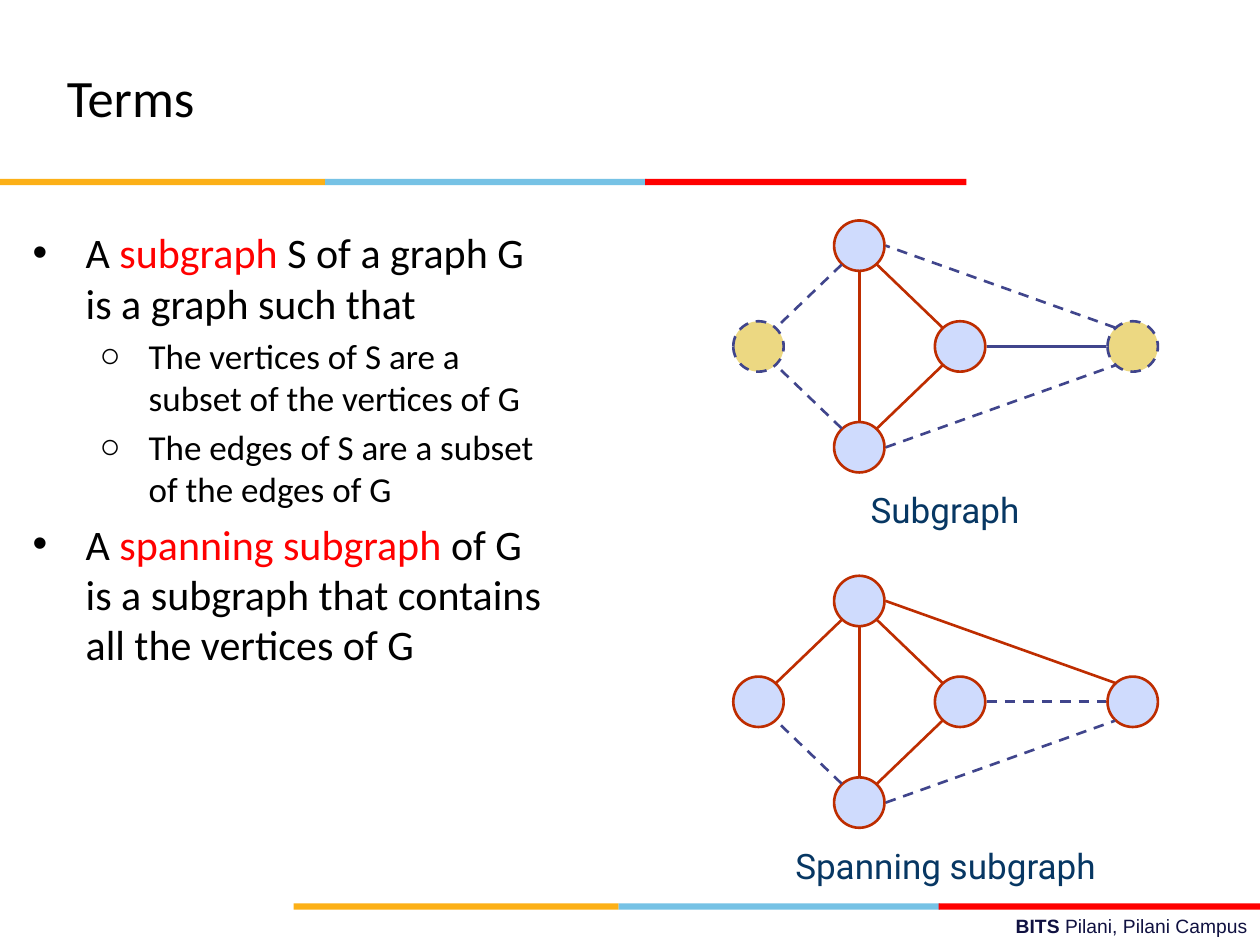
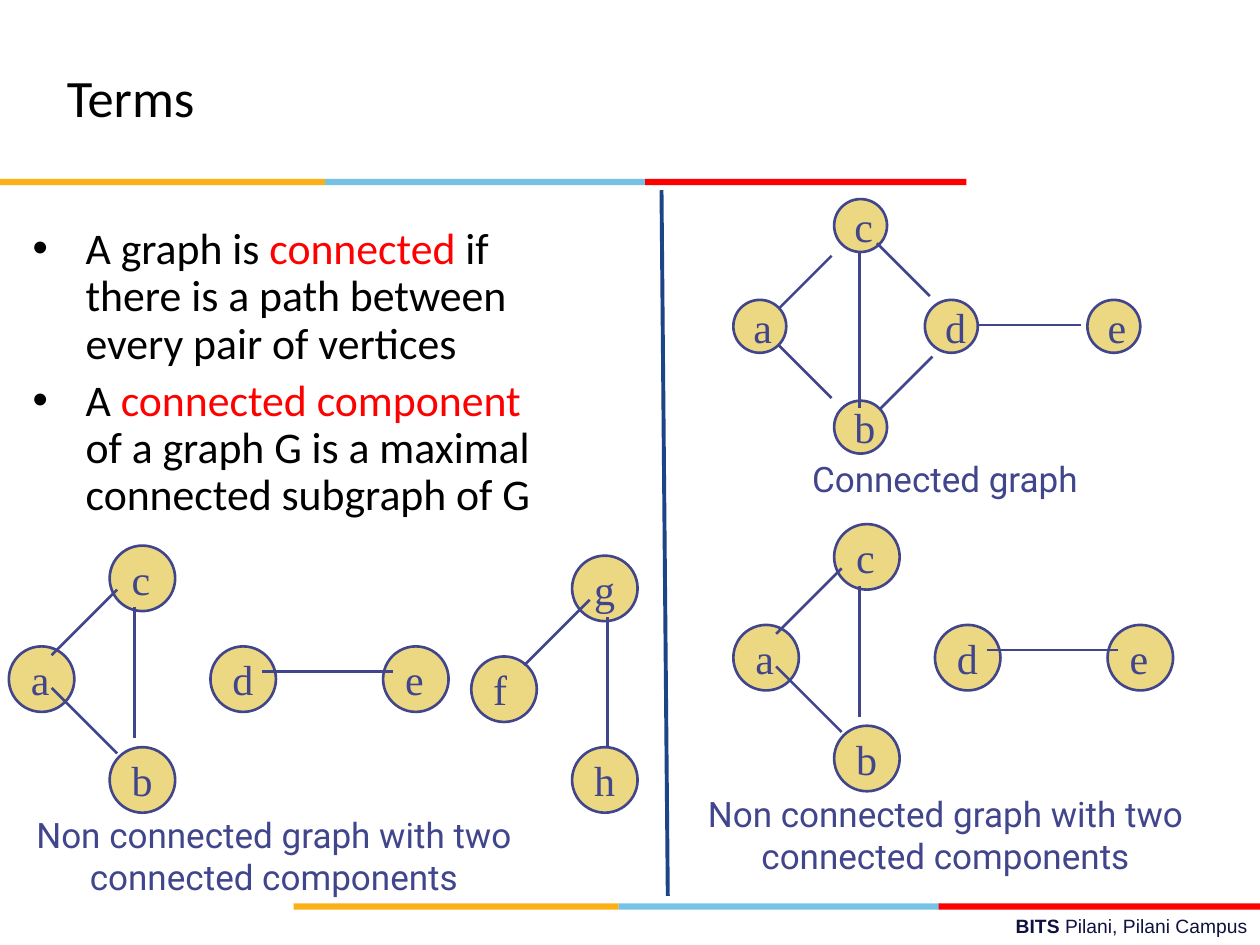
from lxml.etree import SubElement
from pptx import Presentation
from pptx.dml.color import RGBColor
from pptx.enum.dml import MSO_LINE
from pptx.enum.shapes import MSO_CONNECTOR, MSO_SHAPE
from pptx.enum.text import MSO_ANCHOR, MSO_AUTO_SIZE, PP_ALIGN
from pptx.oxml.ns import qn
from pptx.util import Emu, Pt

PX = 9144  # 100 px to the inch

COLOURS = {
    "ink": "000000",
    "key": "FF0000",
    "amber": "FCB017",
    "sky": "76C2E5",
    "red": "FF0000",
    "footer": "101141",
    "caption": "073763",
    "indigo": "40458C",
    "sand": "ECD882",
    "lilac": "CFDBFD",
    "rust": "BE2D00",
    "divider": "1C4587",
}

FONTS = {
    "title": {"name": "Calibri", "size": Pt(30)},
    "footer": {"name": "Arial", "size": Pt(11)},
    "caption": {"name": "Roboto", "size": Pt(20)},
    "vertex": {"name": "Times New Roman", "size": Pt(24)},
}

# Stroke colour and dash of each kind of line
STROKES = {
    "chosen": ("rust", None),
    "plain": ("indigo", None),
    "left out": ("indigo", MSO_LINE.DASH),
}
VERTEX_FILLS = {"chosen": "lilac", "plain": "sand", "left out": "sand"}

# Vertex corners and edge ends are measured from the corner of their graph.
FIVE_VERTICES = {"d": (160, 80), "a": (0, 80), "c": (80, 0), "b": (80, 160), "e": (297, 80)}
FULL_EDGES = {
    "ca": (86, 35, 34, 85),
    "ba": (86, 165, 34, 115),
    "bd": (114, 165, 166, 115),
    "cd": (114, 35, 166, 85),
    "cb": (100, 41, 100, 159),
    "de": (201, 100, 296, 100),
    "be": (121, 180, 303, 115),
    "ec": (303, 85, 121, 20),
}
CONNECTED_VERTICES = FIVE_VERTICES | {"d": (152, 80), "e": (281, 80)}
CONNECTED_EDGES = {
    "ca": (78, 45, 36, 87),
    "ba": (78, 158, 36, 116),
    "bd": (116, 167, 158, 125),
    "cd": (114, 35, 156, 77),
    "cb": (100, 41, 100, 166),
    "de": (193, 100, 276, 100),
}
TWO_PART_EDGES = {
    "ca": (86, 35, 34, 87),
    "ba": (86, 165, 34, 113),
    "cb": (100, 49, 100, 153),
    "de": (201, 100, 305, 100),
}
THIRD_PART_VERTICES = {"f": (0, 80), "g": (80, 0), "h": (80, 152)}
THIRD_PART_EDGES = {"gf": (94, 35, 42, 87), "gh": (108, 49, 108, 153)}

SUBGRAPH_BULLETS = [
    (0, 0, ["A ", "*subgraph", " S of a graph G is a graph such that"]),
    (1, 4, ["The vertices of S are a subset of the vertices of G"]),
    (1, 4, ["The edges of S are a subset of the edges of G"]),
    (0, 4.8, ["A ", "*spanning subgraph",
              " of G is a subgraph that contains all the vertices of G"]),
]
CONNECTED_BULLETS = [
    (0, 0, ["A graph is ", "*connected",
            " if there is a path between every pair of vertices"]),
    (0, 5.6, ["A ", "*connected component",
              " of a graph G is a maximal connected subgraph of G"]),
]
TWO_PARTS = "Non connected graph with two connected components"


def px(*lengths):
    return [Emu(length * PX) for length in lengths]


def rgb(name):
    return RGBColor.from_string(COLOURS[name])


def apply(target, formats):
    for name, value in formats.items():
        setattr(target, name, value)


def place(shape, *area):
    apply(shape, dict(zip(("left", "top", "width", "height"), px(*area))))


def add_span(para, text, colour, **formats):
    span = para.add_run()
    span.text = text
    apply(span.font, formats)
    span.font.color.rgb = rgb(colour)


def add_label(page, area, spans, font, colour, align):
    """Add a one-paragraph text box; spans are (text, bold) pairs."""
    box = page.shapes.add_textbox(*px(*area))
    box.text_frame.word_wrap = True
    para = box.text_frame.paragraphs[0]
    para.alignment = align
    for text, bold in spans:
        add_span(para, text, colour, bold=bold, **FONTS[font])


def add_caption(page, area, text, colour):
    add_label(page, area, [(text, False)], "caption", colour, PP_ALIGN.CENTER)


def add_band(page, left, top):
    for offset, width, colour in ((0, 258, "amber"), (258, 255, "sky"), (512, 255, "red")):
        stripe = page.shapes.add_shape(
            MSO_SHAPE.RECTANGLE, *px(left + offset, top, width, 5))
        stripe.shadow.inherit = False
        stripe.fill.solid()
        stripe.fill.fore_color.rgb = rgb(colour)
        stripe.line.fill.background()


def add_page(deck, title):
    """Add a page with its title, both bands and the footer."""
    page = deck.slides.add_slide(deck.slide_layouts[1])
    add_band(page, 0, 142)
    add_band(page, 233, 717)
    add_label(page, (358, 721, 642, 29),
              [("BITS ", True), ("Pilani, Pilani Campus", False)],
              "footer", "footer", PP_ALIGN.RIGHT)
    heading = page.shapes.title
    place(heading, 43, 30, 669, 93)
    apply(heading.text_frame, {"vertical_anchor": MSO_ANCHOR.MIDDLE,
                               "auto_size": MSO_AUTO_SIZE.NONE})
    para = heading.text_frame.paragraphs[0]
    para.alignment = PP_ALIGN.LEFT
    add_span(para, title, "ink", **FONTS["title"])
    return page


def set_bullet(para, mark, margin, indent):
    properties = para._p.get_or_add_pPr()
    properties.set("marL", str(margin * PX))
    properties.set("indent", str(indent * PX))
    colour = SubElement(properties, qn("a:buClr"))
    SubElement(colour, qn("a:srgbClr"), val=COLOURS["ink"])
    SubElement(properties, qn("a:buChar"), char=mark)


def fill_body(page, bullets, sizes, line_spacing):
    """Fill the body; a span that starts with * is a key term."""
    body = page.placeholders[1]
    place(body, 8, 175, 440, 495)
    frame = body.text_frame
    frame.auto_size = MSO_AUTO_SIZE.NONE
    for index, (level, space, spans) in enumerate(bullets):
        para = frame.add_paragraph() if index else frame.paragraphs[0]
        set_bullet(para, *(("•", 50, -42), ("○", 100, -39))[level])
        apply(para, {"level": level, "space_before": Pt(space),
                     "line_spacing": line_spacing})
        for text in spans:
            add_span(para, text.lstrip("*"), "key" if text.startswith("*") else "ink",
                     name="Calibri", size=Pt(sizes[level]))


def set_stroke(line, colour, width=1.5, dash=None):
    line.color.rgb = rgb(colour)
    line.width = Pt(width)
    if dash:
        line.dash_style = dash


def add_line(page, ends, colour, width=1.5, dash=None):
    line = page.shapes.add_connector(MSO_CONNECTOR.STRAIGHT, *px(*ends))
    SubElement(line._element.spPr, qn("a:effectLst"))
    set_stroke(line.line, colour, width, dash)


def add_vertex(page, left, top, size, kind, letter):
    vertex = page.shapes.add_shape(MSO_SHAPE.OVAL, *px(left, top, size, size))
    vertex.shadow.inherit = False
    vertex.fill.solid()
    vertex.fill.fore_color.rgb = rgb(VERTEX_FILLS[kind])
    colour, dash = STROKES[kind]
    set_stroke(vertex.line, colour, dash=dash)
    if letter:
        frame = vertex.text_frame
        apply(frame, {"word_wrap": True, "vertical_anchor": MSO_ANCHOR.MIDDLE})
        frame.paragraphs[0].alignment = PP_ALIGN.LEFT
        add_span(frame.paragraphs[0], letter, colour, **FONTS["vertex"])


def add_graph(page, corner, size, vertices, edges, kind="plain", others=None, lettered=True):
    """Draw a graph; others maps vertex or edge names to a kind of their own."""
    others = others or {}
    left, top = corner
    for name, (x, y) in vertices.items():
        add_vertex(page, left + x, top + y, size, others.get(name, kind),
                   name if lettered else "")
    for name, (x1, y1, x2, y2) in edges.items():
        colour, dash = STROKES[others.get(name, kind)]
        add_line(page, (left + x1, top + y1, left + x2, top + y2), colour, dash=dash)


def build_subgraphs(deck):
    page = add_page(deck, "Terms")
    fill_body(page, SUBGRAPH_BULLETS, (24, 20), 1.0)
    add_caption(page, (594, 383, 312, 43), "Subgraph", "caption")
    add_caption(page, (551, 665, 399, 43), "Spanning subgraph", "caption")
    outside = dict.fromkeys(("a", "e", "ca", "ba", "be", "ec"), "left out")
    unused = dict.fromkeys(("ba", "de", "be"), "left out")
    for top, others in ((175, outside | {"de": "plain"}), (457, unused)):
        add_graph(page, (582, top), 40, FIVE_VERTICES, FULL_EDGES,
                  "chosen", others, lettered=False)


def build_connectivity(deck):
    page = add_page(deck, "Terms")
    fill_body(page, CONNECTED_BULLETS, (25,), 0.9)
    add_graph(page, (582, 158), 42, CONNECTED_VERTICES, CONNECTED_EDGES)
    add_caption(page, (594, 358, 312, 43), "Connected graph", "indigo")
    for corner, caption_corner in (((582, 416), (551, 624)), ((7, 433), (18, 641))):
        add_graph(page, corner, 52, FIVE_VERTICES, TWO_PART_EDGES)
        add_caption(page, (*caption_corner, 399, 77), TWO_PARTS, "indigo")
    add_graph(page, (374, 441), 52, THIRD_PART_VERTICES, THIRD_PART_EDGES)
    add_line(page, (525, 151, 530, 711), "divider", 2.25)


def main():
    deck = Presentation()
    deck.slide_width, deck.slide_height = px(1000, 750)
    build_subgraphs(deck)
    build_connectivity(deck)
    deck.save("out.pptx")


if __name__ == "__main__":
    main()
